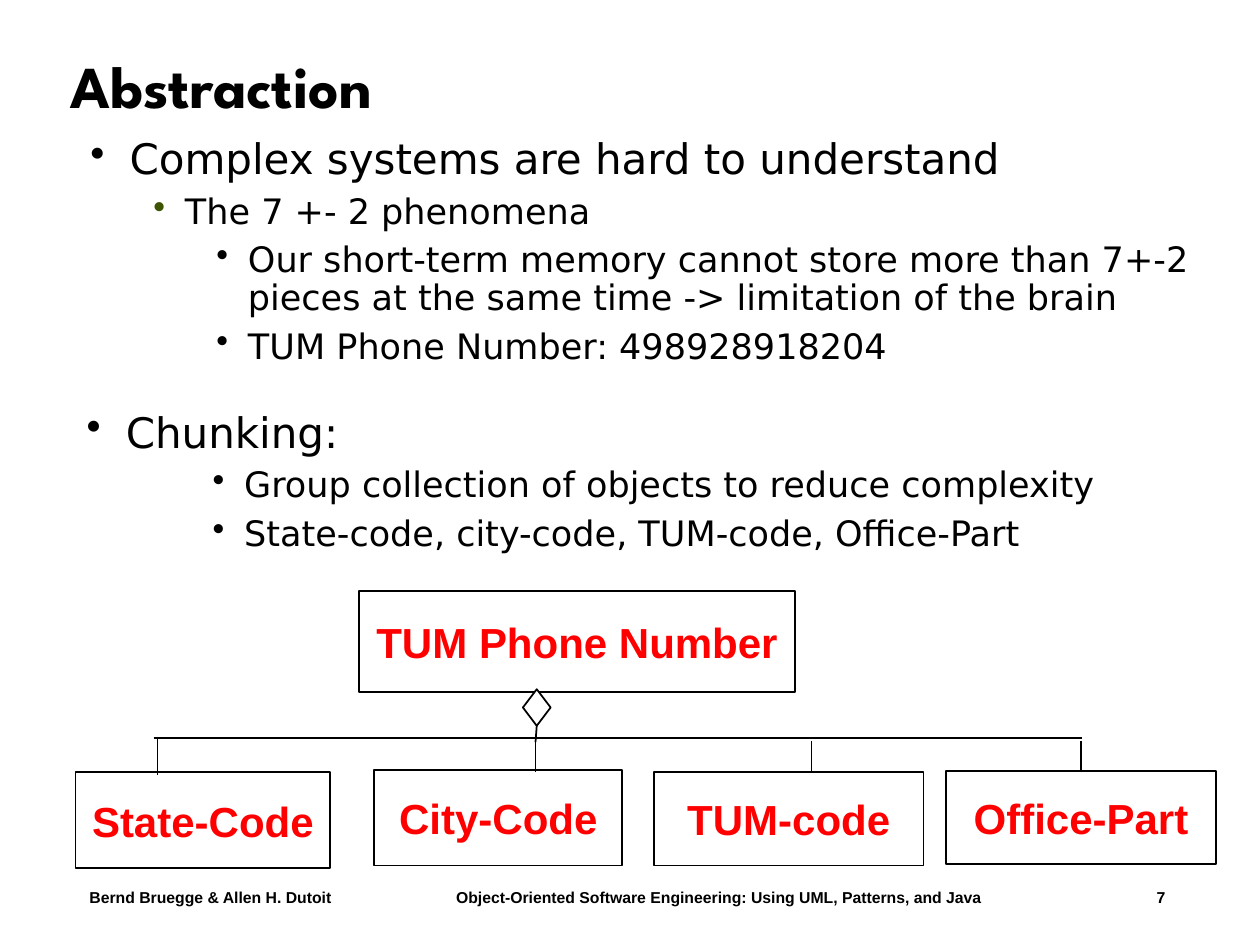
from pptx import Presentation
from pptx.util import Inches, Pt
from pptx.dml.color import RGBColor
from pptx.enum.shapes import MSO_SHAPE, MSO_CONNECTOR
from pptx.enum.text import PP_ALIGN, MSO_ANCHOR
from pptx.oxml.ns import qn
from lxml.etree import SubElement


def color(hue):
    return RGBColor.from_string(hue)


def style(run, face, size, hue="000000", bold=False):
    run.font.name = face
    run.font.size = Pt(size)
    run.font.bold = bold
    run.font.color.rgb = color(hue)


deck = Presentation()
deck.slide_width, deck.slide_height = Inches(10), Inches(7.5)
slide = deck.slides.add_slide(deck.slide_layouts[5])
shapes = slide.shapes

title = shapes.title
title.left, title.top = Inches(0.46), Inches(0.24)
title.width, title.height = Inches(8.92), Inches(0.94)
frame = title.text_frame
frame.vertical_anchor = MSO_ANCHOR.MIDDLE
para = frame.paragraphs[0]
para.alignment = PP_ALIGN.LEFT
para.line_spacing = 0.9
run = para.add_run()
run.text = "Abstraction"
style(run, "League Spartan", 34, bold=True)

foot = shapes.add_textbox(Inches(0.39), Inches(7), Inches(9.17), Inches(0.25))
frame = foot.text_frame
frame.word_wrap = True
frame.margin_left = Inches(0.32)
frame.margin_right = 0
para = frame.paragraphs[0]
tabs = SubElement(para._p.get_or_add_pPr(), qn("a:tabLst"))
for stop in (2.91, 8.47):
    SubElement(tabs, qn("a:tab"), pos=str(Inches(stop)), algn="l")
for text in ("Bernd Bruegge & Allen H. Dutoit",
             "\tObject-Oriented Software Engineering: Using UML, Patterns, and Java",
             "\t7"):
    run = para.add_run()
    run.text = text
    style(run, "Arial", 9, bold=True)

nodes = {}
for text, left, top, width, height in (
    ("TUM Phone Number", 2.85, 4.69, 3.46, 0.8),
    ("", 4.15, 5.47, 0.22, 0.29),
    ("State-Code", 0.6, 6.13, 2.02, 0.76),
    ("City-Code", 2.97, 6.11, 1.97, 0.76),
    ("TUM-code", 5.19, 6.13, 2.14, 0.74),
    ("Office-Part", 7.51, 6.12, 2.14, 0.74),
):
    kind = MSO_SHAPE.RECTANGLE if text else MSO_SHAPE.DIAMOND
    node = shapes.add_shape(kind, Inches(left), Inches(top), Inches(width), Inches(height))
    node.shadow.inherit = False
    node.fill.solid()
    node.fill.fore_color.rgb = color("FFFFFF")
    node.line.color.rgb = color("000000")
    node.line.width = Pt(1)
    nodes[text] = node
    if text:
        frame = node.text_frame
        frame.word_wrap = False
        frame.vertical_anchor = MSO_ANCHOR.MIDDLE
        para = frame.paragraphs[0]
        para.alignment = PP_ALIGN.CENTER
        run = para.add_run()
        run.text = text
        style(run, "Arial", 24, "FF0000", True)

links = []
for x1, y1, x2, y2 in (
    (4.25, 5.73, 4.25, 5.89),
    (1.22, 5.86, 8.59, 5.86),
    (1.25, 5.86, 1.25, 6.15),
    (4.25, 5.86, 4.25, 6.13),
    (6.44, 5.88, 6.44, 6.13),
    (8.58, 5.88, 8.58, 6.12),
):
    link = shapes.add_connector(MSO_CONNECTOR.STRAIGHT, Inches(x1), Inches(y1), Inches(x2), Inches(y2))
    link.line.color.rgb = color("000000")
    link.line.width = Pt(1)
    SubElement(link._element.spPr, qn("a:effectLst"))
    links.append(link)
links[0].begin_connect(nodes[""], 2)
links[-1].end_connect(nodes["Office-Part"], 0)

levels = ((0.31, 0.31, 24, "000000"), (0.75, 0.25, 20, "3D5500"), (1.25, 0.25, 20, "000000"))
for left, top, items in (
    (0.59, 3.22, (
        (0, "Chunking:"),
        (2, "Group collection of objects to reduce complexity"),
        (2, "State-code, city-code, TUM-code, Office-Part"),
    )),
    (0.62, 1.05, (
        (0, "Complex systems are hard to understand"),
        (1, "The 7 +- 2 phenomena"),
        (2, "Our short-term memory cannot store more than 7+-2 pieces at the same time -> limitation of the brain"),
        (2, "TUM Phone Number: 498928918204"),
    )),
):
    frame = shapes.add_textbox(Inches(left), Inches(top), Inches(9), Inches(2.13)).text_frame
    frame.word_wrap = True
    for i, (level, text) in enumerate(items):
        para = frame.add_paragraph() if i else frame.paragraphs[0]
        margin, hang, size, hue = levels[level]
        para.level = level
        para.line_spacing = 0.9
        para.space_before = Pt(6 if i else 0)
        props = para._p.get_or_add_pPr()
        props.set("marL", str(Inches(margin)))
        props.set("indent", str(-Inches(hang)))
        tint = SubElement(props, qn("a:buClr"))
        SubElement(tint, qn("a:srgbClr"), val=hue)
        SubElement(props, qn("a:buChar"), char="•")
        run = para.add_run()
        run.text = text
        style(run, "DejaVu Sans", size)

deck.save("out.pptx")
